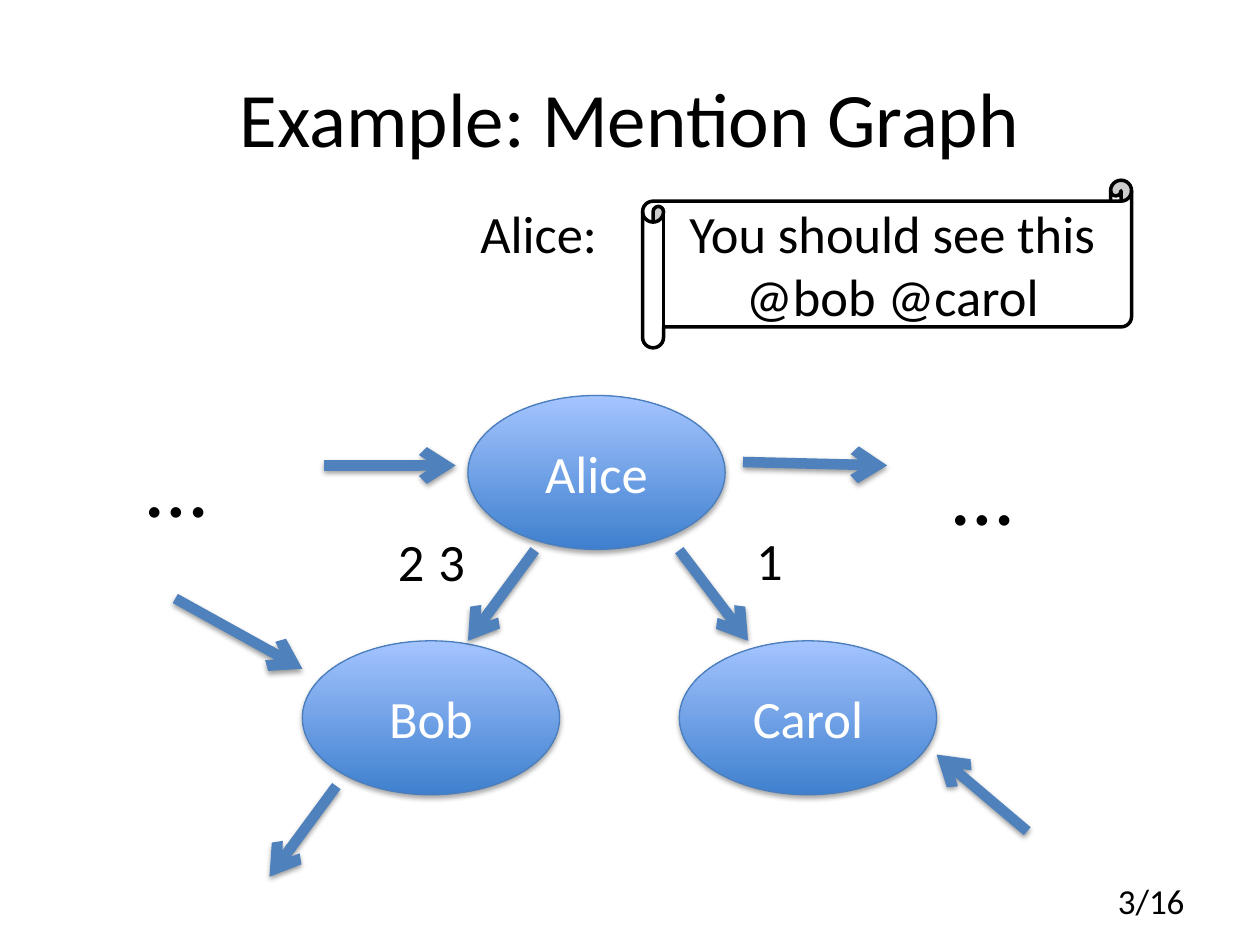
from typing import NamedTuple

from lxml import etree
from pptx import Presentation
from pptx.dml.color import RGBColor
from pptx.enum.shapes import MSO_CONNECTOR, MSO_SHAPE
from pptx.enum.text import MSO_ANCHOR, PP_ALIGN
from pptx.oxml.ns import qn
from pptx.util import Pt

LEFT, CENTER, RIGHT = PP_ALIGN.LEFT, PP_ALIGN.CENTER, PP_ALIGN.RIGHT
TOP, MIDDLE = MSO_ANCHOR.TOP, MSO_ANCHOR.MIDDLE
OVAL, SCROLL = MSO_SHAPE.OVAL, MSO_SHAPE.HORIZONTAL_SCROLL
STRAIGHT = MSO_CONNECTOR.STRAIGHT

FONT = "Calibri"
BLACK, WHITE = "000000", "FFFFFF"
NODE_BOTTOM, NODE_TOP, NODE_EDGE = "3F80CE", "A4C4FF", "4B7EBC"
ARROW_BLUE = "4F81BD"
NODE_WIDTH, NODE_HEIGHT = 147, 88


class Person(NamedTuple):
    name: str
    left: float
    top: float


class Arrow(NamedTuple):
    x1: float
    y1: float
    x2: float
    y2: float


class Label(NamedTuple):
    text: str
    left: float
    top: float
    width: float
    height: float
    size: float = 30
    align: PP_ALIGN = LEFT
    anchor: MSO_ANCHOR = TOP


PEOPLE = [
    Person("Alice", 267.4, 226),
    Person("Bob", 172.8, 366.2),
    Person("Carol", 388.2, 366.2),
]

ARROWS = [
    Arrow(305.6, 314.4, 267.4, 366.2),  # Alice to Bob
    Arrow(388.2, 314.4, 427.5, 366.2),  # Alice to Carol
    Arrow(100.2, 342, 172.8, 382.2),
    Arrow(192.2, 449.2, 154, 501),
    Arrow(587, 475, 535.2, 431.2),
    Arrow(185, 266, 260.4, 266),
    Arrow(424.6, 264, 507, 266),
]

LABELS = [
    Label("Example: Mention Graph", 36, 21.6, 648, 90, 44, CENTER, MIDDLE),
    Label("3/16", 516, 500.4, 168, 28.8, 20, RIGHT, MIDDLE),
    Label("Alice:", 267.4, 111.6, 100, 43.6),
    Label("2", 200, 298.8, 49.6, 43.6, align=RIGHT),
    Label("3", 223.2, 298.8, 49.6, 43.6, align=RIGHT),
    Label("1", 425, 298.2, 49.6, 43.6),
    Label("…", 75.6, 242, 49.6, 67.8, 50, RIGHT),
    Label("…", 536.6, 247, 49.6, 67.8, 50, RIGHT),
]


def rgb(value: str) -> RGBColor:
    return RGBColor.from_string(value)


def write(frame, text: str, *, size: float = 30, color: str = BLACK,
          align: PP_ALIGN = CENTER, anchor: MSO_ANCHOR = MIDDLE) -> None:
    frame.word_wrap = True
    frame.vertical_anchor = anchor
    paragraph = frame.paragraphs[0]
    paragraph.alignment = align
    run = paragraph.add_run()
    run.text = text
    run.font.name = FONT
    run.font.size = Pt(size)
    run.font.color.rgb = rgb(color)


def add_shadow(shape, opacity: int, distance: float) -> None:
    """Append a soft downward shadow; call after the line is set."""
    effects = etree.SubElement(shape._element.spPr, qn("a:effectLst"))
    shadow = etree.SubElement(
        effects, qn("a:outerShdw"), blurRad=str(Pt(3.1)),
        dist=str(Pt(distance)), dir="5400000", rotWithShape="0")
    color = etree.SubElement(shadow, qn("a:srgbClr"), val=BLACK)
    etree.SubElement(color, qn("a:alpha"), val=str(opacity * 1000))


def add_label(slide, label: Label) -> None:
    box = slide.shapes.add_textbox(Pt(label.left), Pt(label.top),
                                   Pt(label.width), Pt(label.height))
    write(box.text_frame, label.text, size=label.size,
          align=label.align, anchor=label.anchor)


def add_message(slide, text: str) -> None:
    scroll = slide.shapes.add_shape(SCROLL, Pt(367.2), Pt(103),
                                    Pt(279.4), Pt(95.8))
    scroll.shadow.inherit = False
    scroll.fill.solid()
    scroll.fill.fore_color.rgb = rgb(WHITE)
    scroll.line.color.rgb = rgb(BLACK)
    scroll.line.width = Pt(2)
    write(scroll.text_frame, text)


def add_person(slide, person: Person) -> None:
    node = slide.shapes.add_shape(OVAL, Pt(person.left), Pt(person.top),
                                  Pt(NODE_WIDTH), Pt(NODE_HEIGHT))
    node.fill.gradient()
    node.fill.gradient_angle = 90
    for stop, color in zip(node.fill.gradient_stops, (NODE_BOTTOM, NODE_TOP)):
        stop.color.rgb = rgb(color)
    node.line.color.rgb = rgb(NODE_EDGE)
    node.line.width = Pt(0.75)
    add_shadow(node, 35, 1.8)
    write(node.text_frame, person.name, color=WHITE)


def add_arrow(slide, arrow: Arrow) -> None:
    mention = slide.shapes.add_connector(STRAIGHT, *map(Pt, arrow))
    mention.line.color.rgb = rgb(ARROW_BLUE)
    mention.line.width = Pt(6)
    etree.SubElement(mention.line._get_or_add_ln(), qn("a:tailEnd"), type="arrow")
    add_shadow(mention, 38, 1.6)


def main() -> None:
    deck = Presentation()
    deck.slide_width, deck.slide_height = Pt(720), Pt(540)
    slide = deck.slides.add_slide(deck.slide_layouts[6])
    add_message(slide, "You should see this @bob @carol")
    for person in PEOPLE:
        add_person(slide, person)
    for arrow in ARROWS:
        add_arrow(slide, arrow)
    for label in LABELS:
        add_label(slide, label)
    deck.save("out.pptx")


if __name__ == "__main__":
    main()
